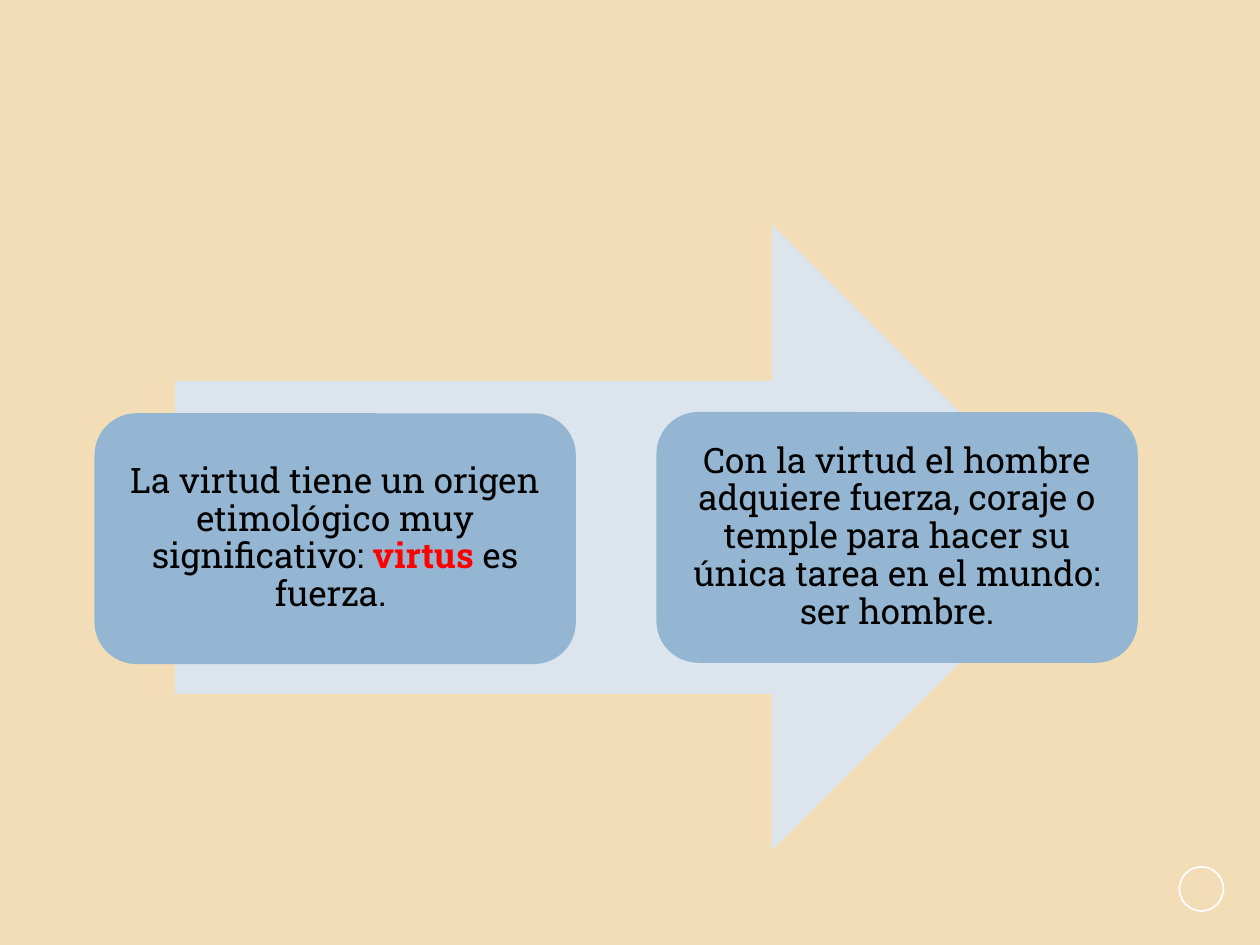
from pptx import Presentation
from pptx.dml.color import RGBColor
from pptx.enum.shapes import MSO_SHAPE
from pptx.enum.text import MSO_ANCHOR, PP_ALIGN
from pptx.util import Inches, Pt

COLORS = {
    "background": "F2DDB7",
    "ring": "FFFFFF",
    "arrow": "DCE5EE",
    "card": "94B6D2",
    "text": "000000",
    "accent": "FF0000",
}


def color(key):
    return RGBColor.from_string(COLORS[key])


def add_filled(preset, left, top, width, height, fill):
    """Add a preset shape without outline or shadow; fill None leaves it hollow."""
    shape = slide.shapes.add_shape(
        preset, Inches(left), Inches(top), Inches(width), Inches(height)
    )
    shape.shadow.inherit = False
    shape.line.fill.background()
    if fill:
        shape.fill.solid()
        shape.fill.fore_color.rgb = color(fill)
    else:
        shape.fill.background()
    return shape


prs = Presentation()
prs.slide_width, prs.slide_height = Inches(10), Inches(7.5)
slide = prs.slides.add_slide(prs.slide_layouts[6])
slide.background.fill.solid()
slide.background.fill.fore_color.rgb = color("background")

ring = add_filled(MSO_SHAPE.OVAL, 9.36, 6.88, 0.35, 0.35, None)
ring.line.color.rgb = color("ring")
ring.line.width = Pt(1)

add_filled(MSO_SHAPE.RIGHT_ARROW, 1.39, 1.78, 7.22, 4.97, "arrow")

# Each card: left, top, and its runs as (words, colour, bold)
cards = [
    (0.75, 3.28, [
        ("La virtud tiene un origen etimológico muy significativo: ", "text", False),
        ("virtus", "accent", True),
        (" es fuerza. ", "text", False),
    ]),
    (5.21, 3.27, [
        ("Con la virtud el hombre adquiere fuerza, coraje o temple para hacer "
         "su única tarea en el mundo: ser hombre.", "text", False),
    ]),
]
for left, top, runs in cards:
    card = add_filled(MSO_SHAPE.ROUNDED_RECTANGLE, left, top, 3.82, 1.99, "card")
    frame = card.text_frame
    frame.word_wrap = True
    frame.vertical_anchor = MSO_ANCHOR.MIDDLE
    frame.margin_left = frame.margin_right = Inches(0.08)
    frame.margin_top = frame.margin_bottom = Inches(0.08)
    paragraph = frame.paragraphs[0]
    paragraph.alignment = PP_ALIGN.CENTER
    paragraph.line_spacing = 0.9
    for words, key, bold in runs:
        run = paragraph.add_run()
        run.text = words
        run.font.name = "Roboto Slab"
        run.font.size = Pt(20)
        run.font.bold = bold
        run.font.color.rgb = color(key)

prs.save("out.pptx")
